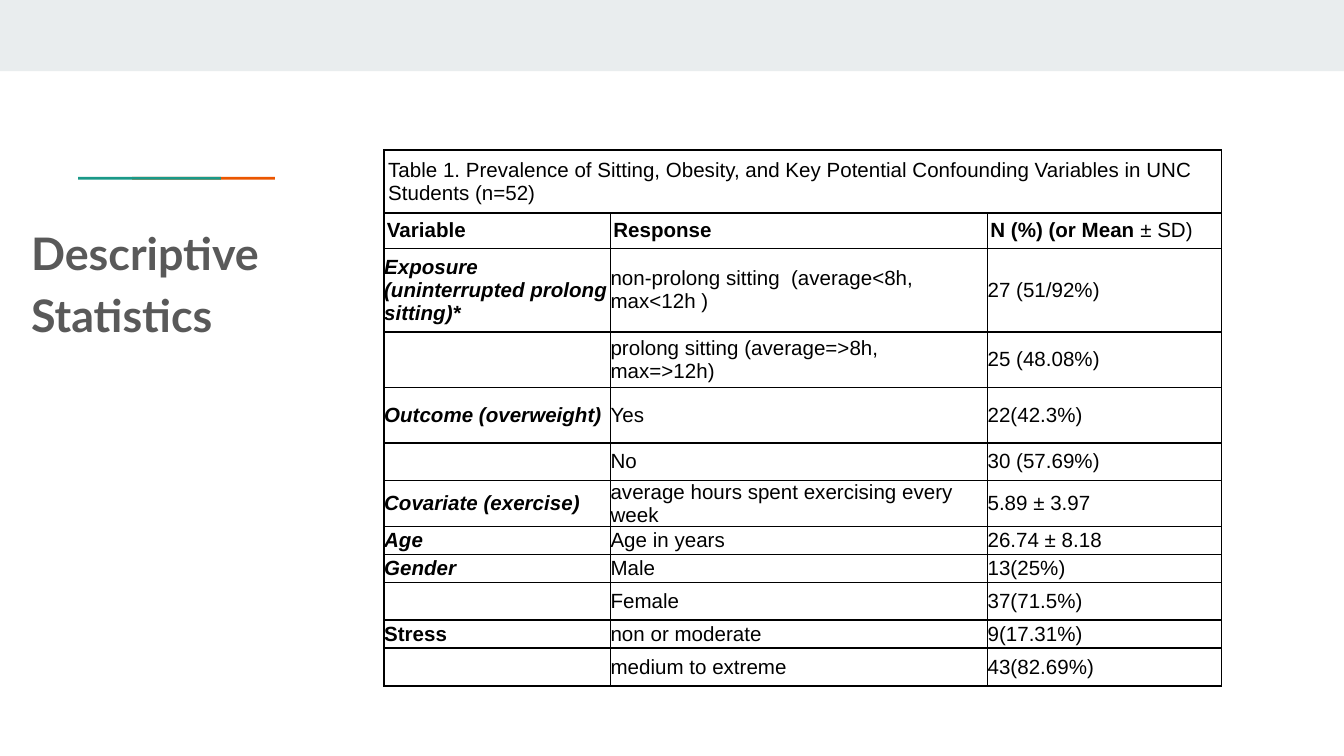
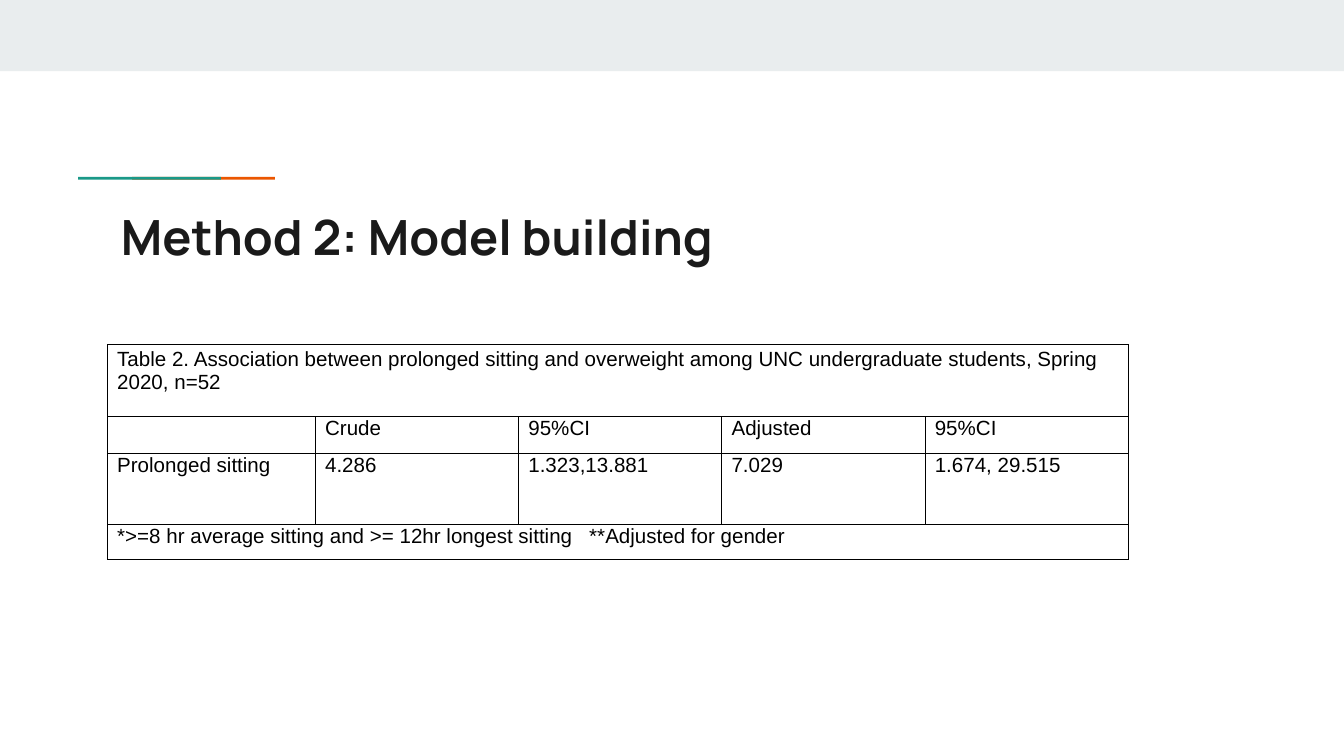
from dataclasses import dataclass

from lxml import etree
from pptx import Presentation
from pptx.dml.color import RGBColor
from pptx.enum.shapes import MSO_SHAPE
from pptx.enum.text import MSO_ANCHOR, MSO_AUTO_SIZE, PP_ALIGN
from pptx.oxml.ns import qn
from pptx.util import Pt

RECTANGLE = MSO_SHAPE.RECTANGLE
TOP, MIDDLE, BOTTOM = MSO_ANCHOR.TOP, MSO_ANCHOR.MIDDLE, MSO_ANCHOR.BOTTOM
LEFT = PP_ALIGN.LEFT
NO_AUTOFIT = MSO_AUTO_SIZE.NONE

WHITE = RGBColor(0xFF, 0xFF, 0xFF)
BLACK = RGBColor(0x00, 0x00, 0x00)
BAND_GREY = RGBColor(0xE9, 0xED, 0xEE)
ORANGE = RGBColor(0xEB, 0x56, 0x00)
TEAL = RGBColor(0x1A, 0x99, 0x88)
TITLE_GREY = RGBColor(0x59, 0x59, 0x59)
TITLE_BLACK = RGBColor(0x1A, 0x1A, 0x1A)

SLIDE_WIDTH, SLIDE_HEIGHT = 720, 405
TITLE_ONLY = 5
TABLE_FONT, TABLE_SIZE = "Arial", 11


@dataclass
class Row:
    height: float
    cells: list
    margins: tuple
    anchor: object


def style_run(run, font, size, color, bold=False, italic=False):
    run.font.name = font
    run.font.size = Pt(size)
    run.font.color.rgb = color
    run.font.bold = bold
    run.font.italic = italic


def add_bar(slide, left, top, width, height, color):
    bar = slide.shapes.add_shape(RECTANGLE, Pt(left), Pt(top), Pt(width), Pt(height))
    bar.shadow.inherit = False
    bar.fill.solid()
    bar.fill.fore_color.rgb = color
    bar.line.fill.background()


def add_accent(slide, left, top):
    length, offset, thickness = 76.5, 29, 1.5
    add_bar(slide, left + offset, top, length, thickness, ORANGE)
    add_bar(slide, left, top, length, thickness, TEAL)


def add_titled_slide(prs, title, box, font, size, color, line_spacing=1, space_after=0):
    slide = prs.slides.add_slide(prs.slide_layouts[TITLE_ONLY])
    add_bar(slide, 0, 0, SLIDE_WIDTH, 38.2, BAND_GREY)
    add_accent(slide, 41.8, 94.7)
    heading = slide.shapes.title
    heading.left, heading.top, heading.width, heading.height = map(Pt, box)
    frame = heading.text_frame
    frame.word_wrap = True
    frame.auto_size = NO_AUTOFIT
    frame.vertical_anchor = TOP
    frame.margin_left = frame.margin_top = Pt(7.2)
    frame.margin_right = frame.margin_bottom = Pt(7.2)
    paragraph = frame.paragraphs[0]
    paragraph.alignment = LEFT
    paragraph.line_spacing = line_spacing
    paragraph.space_before = Pt(0)
    paragraph.space_after = Pt(space_after)
    run = paragraph.add_run()
    run.text = title
    style_run(run, font, size, color, bold=True)
    return slide


def add_borders(cell, width):
    properties = cell._tc.get_or_add_tcPr()
    for side in ("a:lnL", "a:lnR", "a:lnT", "a:lnB"):
        line = etree.SubElement(properties, qn(side), w=str(Pt(width)))
        fill = etree.SubElement(line, qn("a:solidFill"))
        etree.SubElement(fill, qn("a:srgbClr"), val=str(BLACK))


def fill_cell(cell, runs, row, border):
    add_borders(cell, border)
    cell.fill.solid()
    cell.fill.fore_color.rgb = WHITE
    cell.vertical_anchor = row.anchor
    (cell.margin_left, cell.margin_top,
     cell.margin_right, cell.margin_bottom) = map(Pt, row.margins)
    paragraph = cell.text_frame.paragraphs[0]
    for text, style in runs:
        run = paragraph.add_run()
        run.text = text
        style_run(run, TABLE_FONT, TABLE_SIZE, BLACK, "b" in style, "i" in style)
    if not runs:
        etree.SubElement(paragraph._p, qn("a:endParaRPr"), sz=str(TABLE_SIZE * 100))


def add_bordered_table(slide, left, top, widths, rows, border):
    height = sum(row.height for row in rows)
    table = slide.shapes.add_table(len(rows), len(widths), Pt(left), Pt(top),
                                   Pt(sum(widths)), Pt(height)).table
    table.first_row = False
    table.horz_banding = False
    for column, width in zip(table.columns, widths):
        column.width = Pt(width)
    for index, row in enumerate(rows):
        table.rows[index].height = Pt(row.height)
        for position in range(len(widths)):
            runs = row.cells[position] if position < len(row.cells) else []
            fill_cell(table.cell(index, position), runs, row, border)
        if len(row.cells) == 1:
            table.cell(index, 0).merge(table.cell(index, len(widths) - 1))


def plain(text):
    return [(text, "")] if text else []


def build_descriptive_statistics(prs):
    slide = add_titled_slide(prs, "Descriptive Statistics", (9.4, 109.4, 180, 177.8),
                             "Lato", 24, TITLE_GREY, 1.15, 16)
    caption = ("Table 1. Prevalence of Sitting, Obesity, and Key Potential "
               "Confounding Variables in UNC Students (n=52)")
    header = [[("Variable", "b")], [("Response", "b")],
              [("N (%) (or Mean", "b"), (" ± SD)", "")]]
    responses = [
        (44.7, "Exposure (uninterrupted prolong sitting)*", "bi",
         "non-prolong sitting  (average<8h, max<12h )", "27 (51/92%)"),
        (29.7, "", "", "prolong sitting (average=>8h, max=>12h)", "25 (48.08%)"),
        (29.7, "Outcome (overweight)", "bi", "Yes", "22(42.3%)"),
        (20.3, "", "", "No", "30 (57.69%)"),
        (24.4, "Covariate (exercise)", "bi",
         "average hours spent exercising every week", "5.89 ± 3.97"),
        (15, "Age", "bi", "Age in years", "26.74 ± 8.18"),
        (15, "Gender", "bi", "Male", "13(25%)"),
        (20.2, "", "", "Female", "37(71.5%)"),
        (15, "Stress", "b", "non or moderate", "9(17.31%)"),
        (20.2, "", "", "medium to extreme", "43(82.69%)"),
    ]
    rows = [Row(33.8, [plain(caption)], (2.2, 1.5, 1.5, 1.5), MIDDLE),
            Row(19, header, (1.5, 1.5, 1.5, 1.5), MIDDLE)]
    for height, variable, style, response, value in responses:
        name = [(variable, style)] if variable else []
        rows.append(Row(height, [name, plain(response), plain(value)],
                        (0, 0, 0, 0), MIDDLE))
    add_bordered_table(slide, 205.8, 80.4, [121.3, 202, 125.2], rows, 1)


def build_model_building(prs):
    slide = add_titled_slide(prs, "Method 2: Model building", (57.6, 103.7, 605.5, 42.5),
                             "Manrope", 26, TITLE_BLACK)
    caption = ("Table 2. Association between prolonged sitting and overweight among "
               "UNC undergraduate students, Spring 2020, n=52")
    footnote = "*>=8 hr average sitting and >= 12hr longest sitting   **Adjusted for gender"
    header = ["", "Crude", "95%CI", "Adjusted", "95%CI"]
    estimates = ["Prolonged sitting", "4.286", "1.323,13.881", "7.029", "1.674, 29.515"]
    margins = (5.2, 0, 5.2, 0)
    rows = [
        Row(38.6, [plain(caption)], (5.2, 0, 5.2, 12.5), BOTTOM),
        Row(19.9, [plain(text) for text in header], margins, TOP),
        Row(38, [plain(text) for text in estimates], margins, TOP),
        Row(18.7, [plain(footnote)], margins, TOP),
    ]
    add_bordered_table(slide, 57.6, 184.6, [111.4] + [108.9] * 4, rows, 0.5)


def main():
    prs = Presentation()
    prs.slide_width, prs.slide_height = Pt(SLIDE_WIDTH), Pt(SLIDE_HEIGHT)
    build_descriptive_statistics(prs)
    build_model_building(prs)
    prs.save("out.pptx")


if __name__ == "__main__":
    main()
